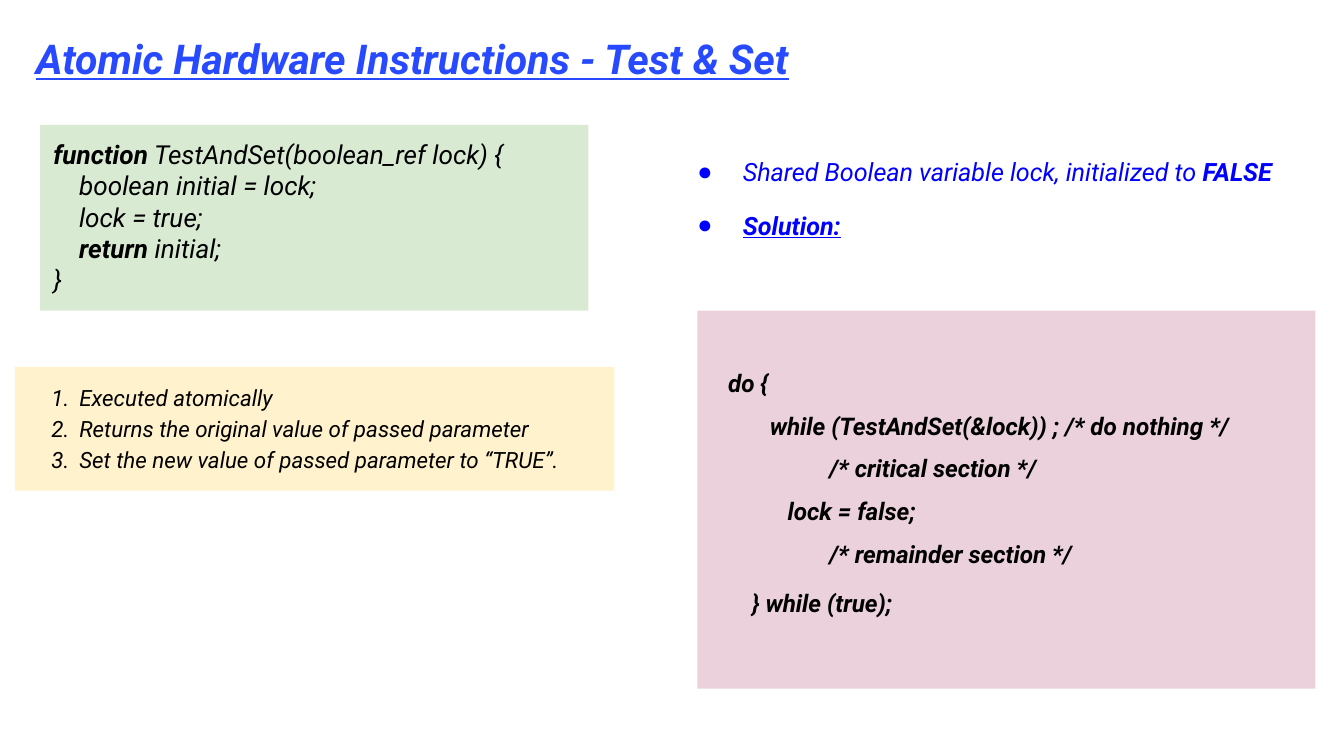
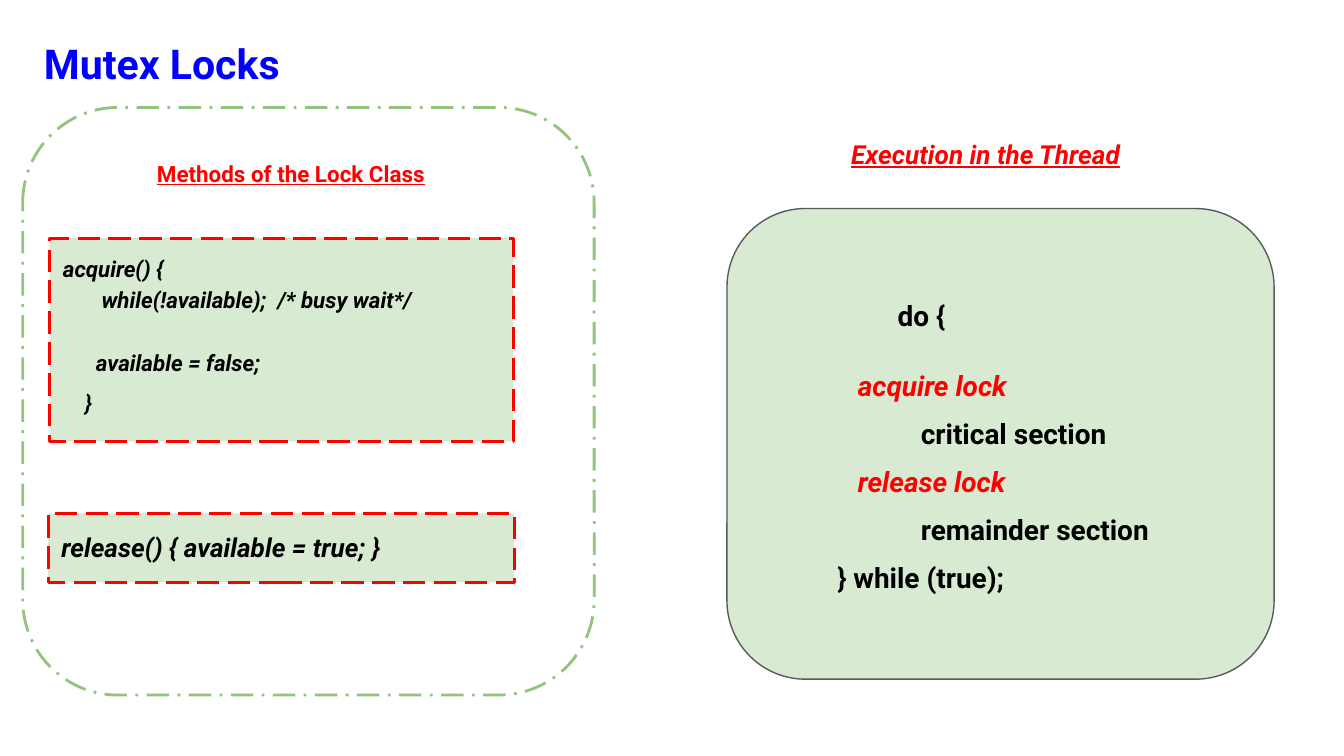
from lxml.etree import SubElement
from pptx import Presentation
from pptx.dml.color import RGBColor
from pptx.enum.dml import MSO_LINE
from pptx.enum.shapes import MSO_SHAPE
from pptx.enum.text import MSO_ANCHOR, MSO_AUTO_SIZE, PP_ALIGN
from pptx.oxml.ns import qn
from pptx.util import Cm, Pt

# Shared style
FONT = "Roboto"
BLACK, RED, BLUE, TITLE_BLUE = "000000", "FF0000", "0000FF", "2749FF"
PALE_GREEN, CREAM, PINK = "D9EAD3", "FFF2CC", "EAD1DC"
FRAME_GREEN, GREY = "93C47D", "595959"
INSET = 0.25
TWO_CONTENT, TITLE_ONLY = 3, 5


def color(value):
    return RGBColor.from_string(value)


def style_font(font, size=None, fill=None, **flags):
    """Set size, colour and any of bold, italic, underline."""
    if size:
        font.name, font.size = FONT, Pt(size)
    if fill:
        font.fill.solid()
        font.fill.fore_color.rgb = color(fill)
    for flag, value in flags.items():
        setattr(font, flag, value)


def place(box, left, top, width, height):
    box.left, box.top, box.width, box.height = map(Cm, (left, top, width, height))


def set_frame(box, anchor=MSO_ANCHOR.TOP, top_inset=INSET):
    frame = box.text_frame
    frame.word_wrap = True
    frame.auto_size = MSO_AUTO_SIZE.NONE
    frame.vertical_anchor = anchor
    frame.margin_left = frame.margin_right = frame.margin_bottom = Cm(INSET)
    frame.margin_top = Cm(top_inset)
    return frame


def set_indent(para, left, first=0):
    properties = para._p.get_or_add_pPr()
    properties.set("marL", str(Cm(left)))
    properties.set("indent", str(Cm(first)))
    return properties


def add_bullet(properties, fill, char=None):
    """Add a bullet character, or a running number when none is given."""
    bullet_color = SubElement(properties, qn("a:buClr"))
    SubElement(bullet_color, qn("a:srgbClr"), val=fill)
    if char:
        SubElement(properties, qn("a:buChar"), char=char)
    else:
        SubElement(properties, qn("a:buAutoNum"), type="arabicPeriod")


def write(frame, lines, size, fill=BLACK, spacing=1.15, gaps=(), align=PP_ALIGN.LEFT,
          indent=None, bullet=None, numbered=False, **flags):
    """Write one paragraph per line; a line is text or a list of (text, flags)."""
    for index, line in enumerate(lines):
        para = frame.paragraphs[0] if index == 0 else frame.add_paragraph()
        if indent:
            properties = set_indent(para, *indent)
            if bullet or numbered:
                add_bullet(properties, fill, bullet)
        para.alignment = align
        para.line_spacing = spacing
        para.space_before = Pt(gaps[index - 1] if index and gaps else 0)
        style_font(para.font, size, fill, **flags)
        for text, changes in [(line, {})] if isinstance(line, str) else line:
            span = para.add_run()
            span.text = text
            style_font(span.font, **changes)


def set_title(page, text, position, fill, **options):
    place(page.shapes.title, *position)
    write(set_frame(page.shapes.title), [text], 22, fill, bold=True, **options)


def add_list(page, index, position, lines, size, back=None, **options):
    body = page.placeholders[index]
    place(body, *position)
    if back:
        body.fill.solid()
        body.fill.fore_color.rgb = color(back)
    write(set_frame(body), lines, size, italic=True, **options)


def add_panel(page, position, back=None, line=None, width=1.5, dash=None,
              kind=MSO_SHAPE.RECTANGLE):
    panel = page.shapes.add_shape(kind, *map(Cm, position))
    panel.shadow.inherit = False
    if back:
        panel.fill.solid()
        panel.fill.fore_color.rgb = color(back)
    else:
        panel.fill.background()
    if line:
        panel.line.color.rgb = color(line)
        panel.line.width = Pt(width)
        panel.line.dash_style = dash
    else:
        panel.line.fill.background()
    return panel


def add_heading(page, left, top, text, size, **flags):
    box = page.shapes.add_textbox(Cm(left), Cm(top), Cm(7.7), Cm(1.3))
    write(set_frame(box), [text], size, RED, spacing=1, align=PP_ALIGN.CENTER,
          bold=True, underline=True, **flags)


def add_method(page, position, lines, size, **options):
    panel = add_panel(page, position, PALE_GREEN, RED, dash=MSO_LINE.LONG_DASH)
    write(set_frame(panel), lines, size, bold=True, italic=True, **options)


def build_test_and_set(deck):
    page = deck.slides.add_slide(deck.slide_layouts[TWO_CONTENT])
    set_title(page, "Atomic Hardware Instructions - Test & Set", (0.43, 0.38, 24, 1.14),
              TITLE_BLUE, spacing=1, italic=True, underline=True)

    # Function definition
    bold = {"bold": True}
    panel = add_panel(page, (0.76, 2.36, 10.36, 3.51), PALE_GREEN)
    write(set_frame(panel), [
        [("function", bold), (" TestAndSet(boolean_ref lock) {", {})],
        "    boolean initial = lock;",
        "    lock = true;",
        [("    ", {}), ("return", bold), (" initial;", {})],
        "}",
    ], 14, spacing=1, italic=True)

    # Properties and usage
    add_list(page, 1, (0.28, 6.93, 11.33, 2.34), [
        "Executed atomically",
        "Returns the original value of passed parameter",
        "Set the new value of passed parameter to “TRUE”.",
    ], 12, back=CREAM, indent=(0.97, -0.53), numbered=True)
    add_list(page, 2, (12.52, 2.62, 12.17, 3.02), [
        [("Shared Boolean variable lock, initialized to ", {}), ("FALSE", bold)],
        [("Solution:", {"bold": True, "underline": True})],
    ], 13.5, fill=BLUE, gaps=(10,), indent=(1.27, -0.86), bullet="●")

    # Solution loop
    panel = add_panel(page, (13.18, 5.87, 11.68, 7.14), PINK)
    write(set_frame(panel, top_inset=1), [
        "do {",
        "       while (TestAndSet(&lock)) ; /* do nothing */",
        "                 /* critical section */",
        "          lock = false;",
        "                 /* remainder section */",
        "    } while (true);",
    ], 13, gaps=(5, 5, 5, 5, 8), indent=(0.33,), bold=True, italic=True)


def build_mutex_locks(deck):
    page = deck.slides.add_slide(deck.slide_layouts[TITLE_ONLY])
    set_title(page, "Mutex Locks", (0.58, 0.33, 24.13, 1.45), BLUE)

    # Lock class
    add_panel(page, (0.43, 2.03, 10.8, 11.1), line=FRAME_GREEN,
              dash=MSO_LINE.LONG_DASH_DOT, kind=MSO_SHAPE.ROUNDED_RECTANGLE)
    add_heading(page, 1.65, 2.77, "Methods of the Lock Class", 12)
    add_method(page, (0.94, 4.5, 8.76, 3.84), [
        "acquire() {",
        "       while(!available);  /* busy wait*/",
        "      available = false;",
        "    }",
    ], 12, gaps=(0, 17, 5))
    add_method(page, (0.91, 9.7, 8.81, 1.3), ["release() { available = true; }"], 14)

    # Thread
    add_heading(page, 14.78, 2.36, "Execution in the Thread", 14, italic=True)
    panel = add_panel(page, (13.74, 3.94, 10.34, 8.89), PALE_GREEN, GREY, 0.75,
                      kind=MSO_SHAPE.ROUNDED_RECTANGLE)
    lock_step = {"fill": RED, "italic": True}
    frame = set_frame(panel, MSO_ANCHOR.MIDDLE)
    write(frame, [
        "do {",
        [("    acquire lock", lock_step)],
        "             critical section",
        [("    release lock", lock_step)],
        "             remainder section",
        " } while (true);",
    ], 15, gaps=(17, 5, 5, 5, 5), indent=(1.27,), bold=True)
    set_indent(frame.paragraphs[0], 2.54)


def main():
    deck = Presentation()
    deck.slide_width, deck.slide_height = Cm(25.4), Cm(14.28)
    build_test_and_set(deck)
    build_mutex_locks(deck)
    deck.save("out.pptx")


if __name__ == "__main__":
    main()
